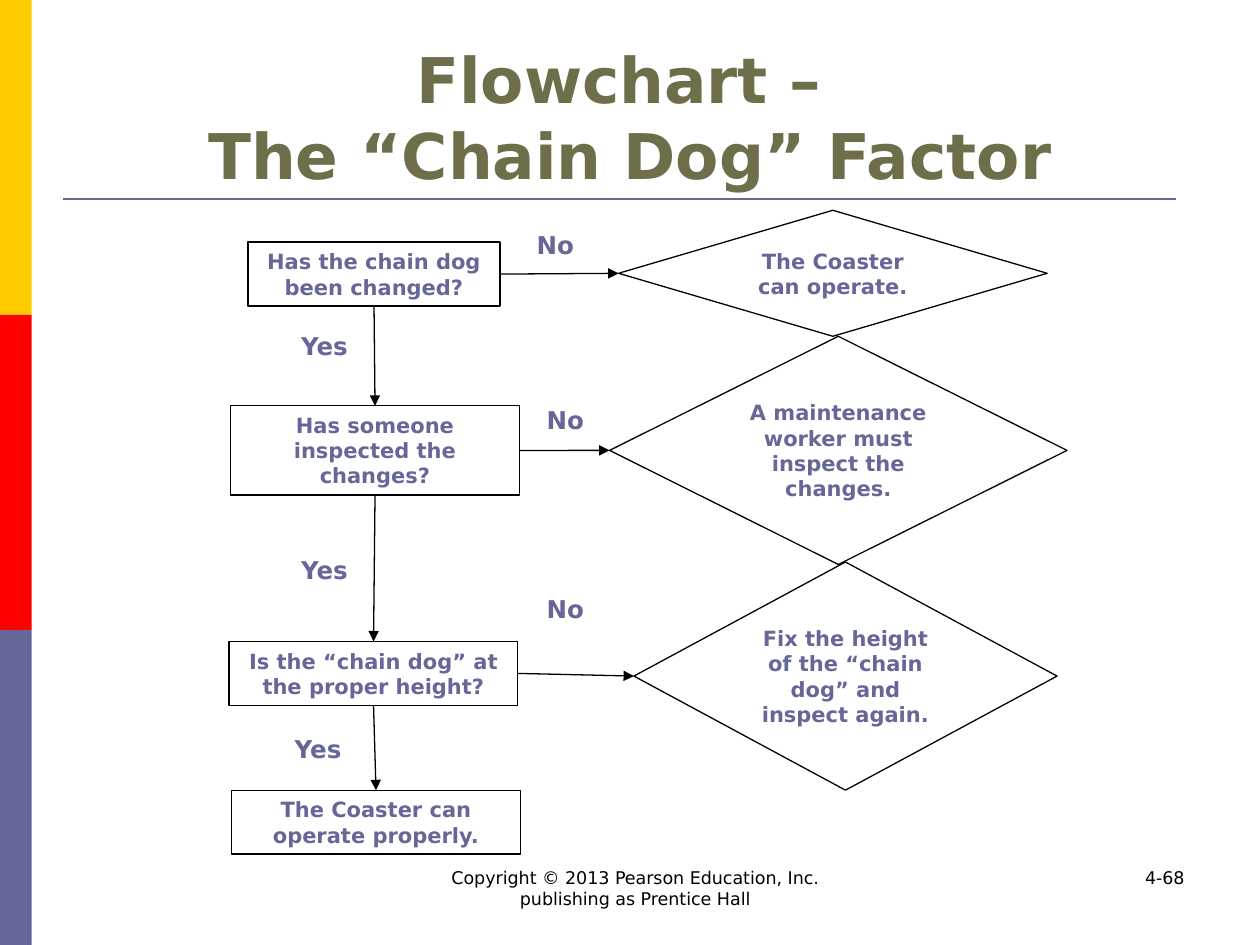
import pptx
import pptx.util
import pptx.dml.color
import pptx.enum.shapes
import pptx.enum.text
import pptx.oxml
import pptx.oxml.ns

Cm = pptx.util.Cm
SHAPES = pptx.enum.shapes.MSO_SHAPE
ALIGN = pptx.enum.text.PP_ALIGN
ANCHOR = pptx.enum.text.MSO_ANCHOR
STRAIGHT = pptx.enum.shapes.MSO_CONNECTOR.STRAIGHT
TOP, LEFT, BOTTOM, RIGHT = range(4)

SLATE, OLIVE, BLACK = "666699", "6F6E4A", "000000"
BAND_COLORS = ["FFCC00", "FF0000", SLATE]
BAND_WIDTH, BAND_HEIGHT = 0.64, 6.35

STEPS = [
    ("Has the chain dog been changed?", (5, 4.88, 5.08, 1.29)),
    ("Has someone inspected the changes?", (4.65, 8.18, 5.82, 1.8)),
    ("Is the “chain dog” at the proper height?", (4.62, 12.93, 5.82, 1.29)),
    ("The Coaster can operate properly.", (4.67, 15.93, 5.82, 1.29)),
]
OUTCOMES = [
    ("The Coaster can operate.", (12.47, 4.24, 8.64, 2.54)),
    ("A maintenance worker must inspect the changes.", (12.29, 6.78, 9.22, 4.6)),
    ("Fix the height of the “chain dog” and inspect again.", (12.78, 11.33, 8.53, 4.6)),
]
LABELS = [
    ("No", (10.57, 4.52, 1.27, 0.86)),
    ("No", (10.77, 8.05, 1.27, 0.86)),
    ("No", (10.77, 11.86, 1.27, 0.86)),
    ("Yes", (5.82, 6.55, 1.7, 0.86)),
    ("Yes", (5.82, 11.07, 1.7, 0.86)),
    ("Yes", (5.69, 14.68, 1.8, 0.86)),
]

NODE_TEXT = {"size": 12, "color": SLATE, "bold": True, "align": ALIGN.CENTER, "anchor": ANCHOR.MIDDLE}
LABEL_TEXT = {"size": 14, "color": SLATE, "bold": True, "align": ALIGN.LEFT, "anchor": ANCHOR.TOP}
TITLE_TEXT = {"size": 36, "color": OLIVE, "bold": True, "align": ALIGN.CENTER, "anchor": ANCHOR.MIDDLE}
FOOTER_TEXT = {"size": 10, "color": BLACK, "bold": False, "align": ALIGN.CENTER, "anchor": ANCHOR.TOP}
NUMBER_TEXT = {**FOOTER_TEXT, "align": ALIGN.RIGHT}

TEXTS = [
    ("Flowchart – \vThe “Chain Dog” Factor", (1.27, 0.76, 22.86, 3.18), TITLE_TEXT),
    ("Copyright © 2013 Pearson Education, Inc. publishing as Prentice Hall",
     (8.46, 17.35, 8.69, 1.27), FOOTER_TEXT),
    ("4-68", (18.21, 17.35, 5.92, 1.27), NUMBER_TEXT),
]


def rgb(value):
    return pptx.dml.color.RGBColor.from_string(value)


def write(shape, text, style):
    frame = shape.text_frame
    frame.word_wrap = True
    frame.vertical_anchor = style["anchor"]
    paragraph = frame.paragraphs[0]
    paragraph.text = text
    paragraph.alignment = style["align"]
    values = {"name": "DejaVu Sans", "size": pptx.util.Pt(style["size"]), "bold": style["bold"]}
    for run in paragraph.runs:
        for name, value in values.items():
            setattr(run.font, name, value)
        run.font.color.rgb = rgb(style["color"])


def add_text(slide, text, box, style):
    write(slide.shapes.add_textbox(*map(Cm, box)), text, style)


def add_node(slide, kind, text, box):
    shape = slide.shapes.add_shape(kind, *map(Cm, box))
    shape.shadow.inherit = False
    shape.fill.background()
    shape.line.color.rgb = rgb(BLACK)
    shape.line.width = pptx.util.Pt(0.75)
    write(shape, text, NODE_TEXT)
    return shape


def add_line(slide, color, width, start=(0, 0), end=(0, 0)):
    line = slide.shapes.add_connector(STRAIGHT, *map(Cm, start + end))
    line.line.color.rgb = rgb(color)
    line.line.width = pptx.util.Pt(width)
    properties = line._element.spPr
    properties.append(pptx.oxml.parse_xml(f"<a:effectLst {pptx.oxml.ns.nsdecls('a')}/>"))
    return line


def add_arrow(slide, source, source_side, target, target_side):
    arrow = add_line(slide, BLACK, 0.75)
    arrow.begin_connect(source, source_side)
    arrow.end_connect(target, target_side)
    head = f'<a:tailEnd {pptx.oxml.ns.nsdecls("a")} type="triangle"/>'
    arrow.line._get_or_add_ln().append(pptx.oxml.parse_xml(head))


def main():
    presentation = pptx.Presentation()
    presentation.slide_width, presentation.slide_height = Cm(25.4), Cm(19.05)
    slide = presentation.slides.add_slide(presentation.slide_layouts[6])

    for index, color in enumerate(BAND_COLORS):
        box = (0, index * BAND_HEIGHT, BAND_WIDTH, BAND_HEIGHT)
        band = slide.shapes.add_shape(SHAPES.RECTANGLE, *map(Cm, box))
        band.shadow.inherit = False
        band.fill.solid()
        band.fill.fore_color.rgb = rgb(color)
        band.line.fill.background()
    add_line(slide, SLATE, 1.5, (1.27, 4.01), (23.7, 4.01))

    steps = [add_node(slide, SHAPES.RECTANGLE, *step) for step in STEPS]
    outcomes = [add_node(slide, SHAPES.DIAMOND, *outcome) for outcome in OUTCOMES]
    for step, outcome in zip(steps, outcomes):
        add_arrow(slide, step, RIGHT, outcome, LEFT)
    for step, following in zip(steps, steps[1:]):
        add_arrow(slide, step, BOTTOM, following, TOP)

    for text, box in LABELS:
        add_text(slide, text, box, LABEL_TEXT)
    for text, box, style in TEXTS:
        add_text(slide, text, box, style)

    presentation.save("out.pptx")


if __name__ == "__main__":
    main()
